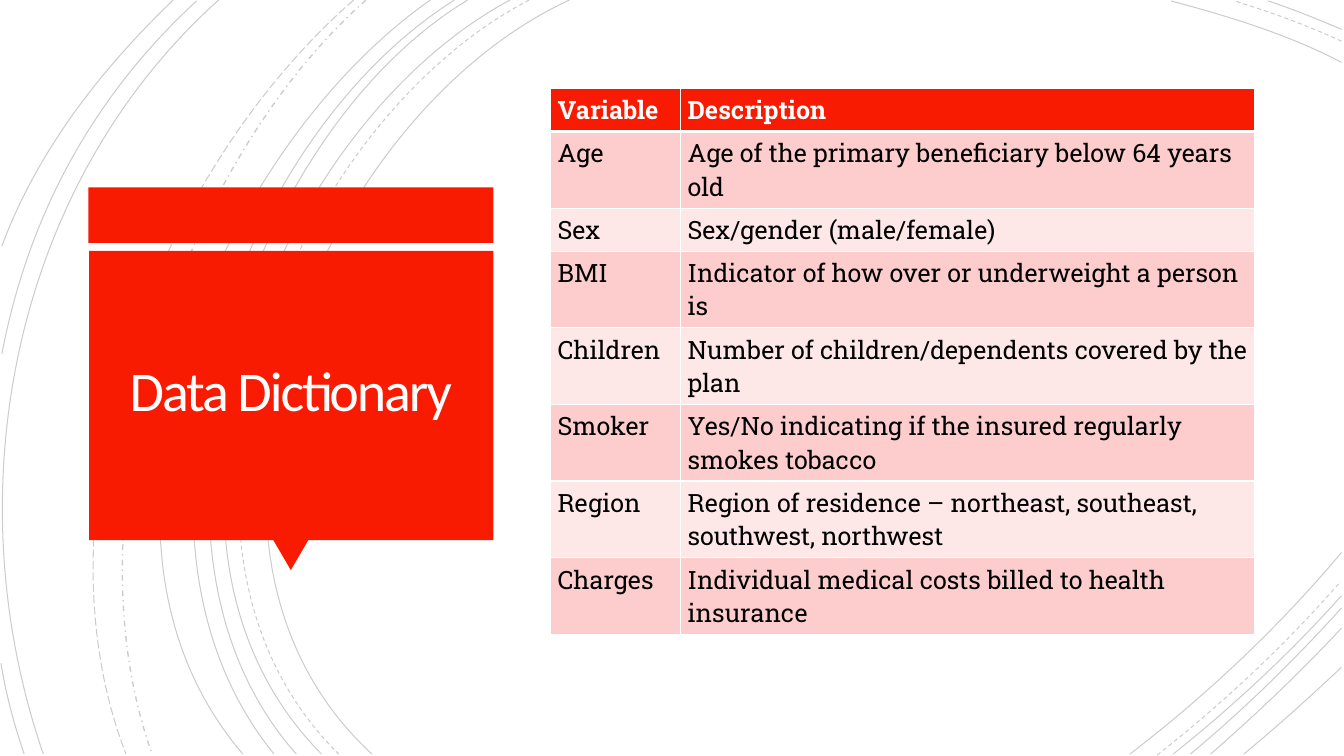
from dataclasses import dataclass

from lxml.etree import SubElement
from pptx import Presentation
from pptx.dml.color import RGBColor as Rgb
from pptx.enum.dml import MSO_LINE_DASH_STYLE as Dash
from pptx.enum.shapes import MSO_SHAPE as Preset
from pptx.enum.text import MSO_ANCHOR as Anchor, PP_ALIGN as Align
from pptx.oxml.ns import qn
from pptx.util import Pt

COLORS = {
    "accent": "F81B02", "line": "000000", "title": "FFFEFF", "white": "FFFFFF",
    "text": "000000", "band_dark": "FCCDCC", "band_light": "FEE8E7",
}
BOTTOM = 538.6

Point = tuple[float, float]


@dataclass
class Arc:
    """A cubic Bezier curve, in points."""
    start: Point
    control_1: Point
    control_2: Point
    end: Point
    dash: Dash = Dash.SOLID
    weight: float = 0.75


@dataclass
class Block:
    preset: Preset
    left: float
    top: float
    width: float
    height: float
    rotation: float = 0


@dataclass
class Entry:
    variable: str
    description: str
    height: float = 54.75


ARCS = [
    # Long arcs from the top edge to the bottom edge
    Arc((406.8, 0), (226.8, 82.8), (103, 388.8), (265.7, BOTTOM)),
    Arc((378, 0), (205.2, 90), (88.6, 386.6), (241.9, BOTTOM), Dash.DASH),
    Arc((364.3, 0), (194.4, 91.4), (79.2, 386.6), (229.7, BOTTOM)),
    Arc((334.1, 0), (175.7, 95.8), (79.2, 389.5), (211.7, BOTTOM)),
    Arc((324.7, 0), (166.3, 99.4), (69.8, 383.8), (195.8, BOTTOM)),
    Arc((307.4, 0), (156.2, 105.8), (38.2, 380.9), (173.5, BOTTOM)),
    Arc((261.4, 0), (126.7, 119.5), (46.8, 366.5), (108.7, BOTTOM), Dash.DASH_DOT, 1),
    Arc((252.7, 0), (113, 121.7), (20.9, 359.3), (90, BOTTOM), Dash.LONG_DASH),
    Arc((156.2, 0), (7.9, 133.2), (-33.1, 352.8), (31, BOTTOM)),
    # Left edge
    Arc((140.4, 0.7), (66.2, 69.1), (20.2, 154.1), (1.4, 252.7)),
    Arc((0.7, 473.8), (4.3, 496.1), (10.1, 517.7), (17.3, BOTTOM)),
    Arc((123.8, 0), (72, 49.7), (26.6, 108), (1.4, 175.7)),
    # Top right corner
    Arc((958.3, 44.6), (920.2, 24.5), (877, 11.5), (836.6, 0.7)),
    Arc((958.3, 29.5), (933.8, 18), (907.2, 8.6), (882, 0.7), Dash.DASH),
    Arc((958.3, 20.9), (941, 13.7), (923.8, 6.5), (905.8, 0.7)),
    # Bottom right corner
    Arc((807.1, BOTTOM), (861.8, 496.8), (913.7, 447.8), (958.3, 394.6)),
    Arc((826.6, 539.3), (873.4, 502.6), (918, 460.8), (957.6, 415.4), Dash.DASH),
    Arc((838.1, BOTTOM), (880.6, 504.7), (921.6, 466.6), (958.3, 425.5)),
    Arc((850.3, BOTTOM), (888.5, 506.9), (924.5, 471.6), (958.3, 434.2)),
    Arc((864.7, BOTTOM), (897.1, 510.5), (928.8, 480.2), (958.3, 448.6)),
    Arc((888.5, BOTTOM), (912.2, 519.1), (935.3, 498.2), (958.3, 476.6)),
]

TITLE_BLOCKS = [
    Block(Preset.RECTANGLE, 63.2, 133.9, 289.3, 39.6),
    Block(Preset.ISOSCELES_TRIANGLE, 195.1, 385.6, 25.2, 21.6, 180),
    Block(Preset.RECTANGLE, 63.6, 179.3, 288.9, 206.6),
]

SINGLE_LINE = 30.75
ENTRIES = [
    Entry("Variable", "Description", SINGLE_LINE),
    Entry("Age", "Age of the primary beneficiary below 64 years old"),
    Entry("Sex", "Sex/gender (male/female)", SINGLE_LINE),
    Entry("BMI", "Indicator of how over or underweight a person is"),
    Entry("Children", "Number of children/dependents covered by the plan"),
    Entry("Smoker", "Yes/No indicating if the insured regularly smokes tobacco"),
    Entry("Region", "Region of residence – northeast, southeast, southwest, northwest"),
    Entry("Charges", "Individual medical costs billed to health insurance"),
]
COLUMN_WIDTHS = (92.9, 410)


def color(name: str) -> Rgb:
    return Rgb.from_string(COLORS[name])


def draw_arc(page, arc: Arc) -> None:
    """Draw the control polygon, then turn its three segments into one curve."""
    start, *knots = [(Pt(x), Pt(y)) for x, y in
                     (arc.start, arc.control_1, arc.control_2, arc.end)]
    builder = page.shapes.build_freeform(*start)
    builder.add_line_segments(knots, close=False)
    curve = builder.convert_to_shape()
    segments = list(curve._element.iter(qn("a:lnTo")))
    bezier = SubElement(segments[0].getparent(), qn("a:cubicBezTo"))
    for segment in segments:
        bezier.append(segment[0])
        segment.getparent().remove(segment)

    curve.shadow.inherit = False
    curve.fill.background()
    curve.line.color.rgb = color("line")
    curve.line.width = Pt(arc.weight)
    curve.line.dash_style = arc.dash
    line_color = curve.line._ln.find(".//" + qn("a:srgbClr"))
    SubElement(line_color, qn("a:alpha"), val="20000")


def draw_block(page, block: Block) -> None:
    shape = page.shapes.add_shape(block.preset, Pt(block.left), Pt(block.top),
                                  Pt(block.width), Pt(block.height))
    shape.rotation = block.rotation
    shape.shadow.inherit = False
    shape.fill.solid()
    shape.fill.fore_color.rgb = color("accent")
    shape.line.fill.background()


def draw_title(page) -> None:
    box = page.shapes.add_textbox(Pt(69.8), Pt(185), Pt(275.8), Pt(193.7))
    frame = box.text_frame
    frame.word_wrap = True
    frame.vertical_anchor = Anchor.MIDDLE
    frame.margin_left = frame.margin_right = Pt(18)
    frame.margin_top = frame.margin_bottom = Pt(18)
    frame.text = "Data Dictionary"
    para = frame.paragraphs[0]
    para.alignment = Align.CENTER
    para.line_spacing = 0.85
    span = para.runs[0]
    span.font.name = "Calibri"
    span.font.size = Pt(40)
    span.font.color.rgb = color("title")
    span._r.get_or_add_rPr().set("spc", "-150")


def add_borders(cell, top: float, bottom: float) -> None:
    """Add white borders; call before the fill, which must follow them in the XML."""
    properties = cell._tc.get_or_add_tcPr()
    for side, weight in (("L", 1), ("R", 1), ("T", top), ("B", bottom)):
        line = SubElement(properties, qn(f"a:ln{side}"), w=str(Pt(weight)))
        fill = SubElement(line, qn("a:solidFill"))
        SubElement(fill, qn("a:srgbClr"), val=COLORS["white"])


def draw_table(page) -> None:
    frame = page.shapes.add_table(
        len(ENTRIES), len(COLUMN_WIDTHS), Pt(393.3), Pt(63.2),
        Pt(sum(COLUMN_WIDTHS)), Pt(sum(entry.height for entry in ENTRIES)))
    table = frame.table
    table.horz_banding = False
    for column, width in zip(table.columns, COLUMN_WIDTHS):
        column.width = Pt(width)
    for row_index, entry in enumerate(ENTRIES):
        is_header = row_index == 0
        band = "accent" if is_header else ("band_light", "band_dark")[row_index % 2]
        table.rows[row_index].height = Pt(entry.height)
        for column_index, text in enumerate((entry.variable, entry.description)):
            cell = table.cell(row_index, column_index)
            add_borders(cell, top=3 if row_index == 1 else 1, bottom=3 if is_header else 1)
            cell.fill.solid()
            cell.fill.fore_color.rgb = color(band)
            cell.margin_left, cell.margin_right = Pt(5), Pt(4.6)
            cell.margin_top = cell.margin_bottom = Pt(3.6)
            cell.text_frame.text = text
            font = cell.text_frame.paragraphs[0].runs[0].font
            font.name = "Roboto Slab"
            font.size = Pt(18)
            font.bold = is_header
            font.color.rgb = color("white" if is_header else "text")


def main() -> None:
    deck = Presentation()
    deck.slide_width, deck.slide_height = Pt(960), Pt(540)
    page = deck.slides.add_slide(deck.slide_layouts[6])
    for arc in ARCS:
        draw_arc(page, arc)
    for block in TITLE_BLOCKS:
        draw_block(page, block)
    draw_title(page)
    draw_table(page)
    deck.save("out.pptx")


if __name__ == "__main__":
    main()
